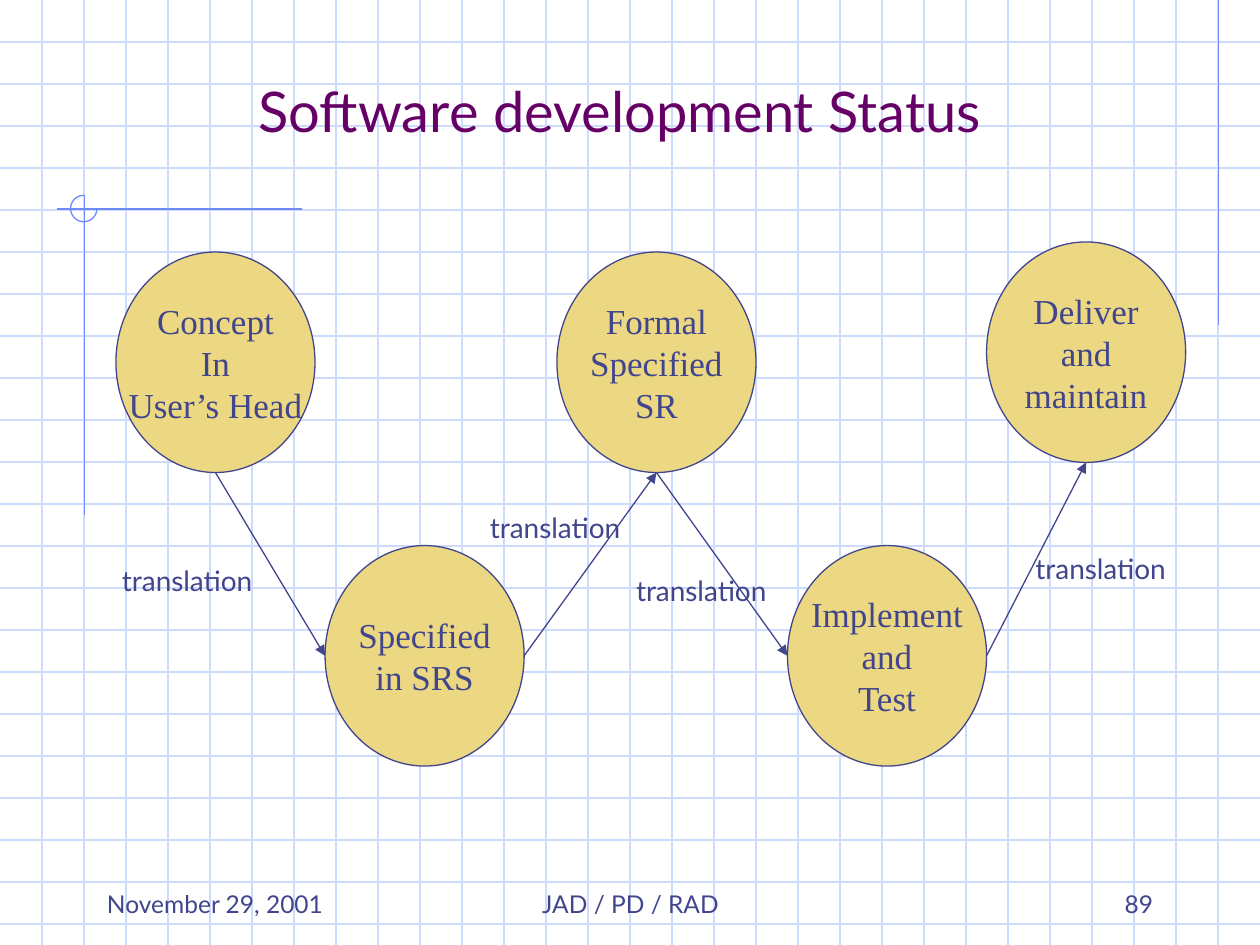
"""Build the software development status slide."""
from lxml.etree import SubElement
from pptx import Presentation
from pptx.dml.color import RGBColor
from pptx.enum.shapes import MSO_CONNECTOR, MSO_SHAPE
from pptx.enum.text import MSO_ANCHOR as Anchor, MSO_AUTO_SIZE as AutoSize, PP_ALIGN as Align
from pptx.oxml.ns import qn
from pptx.util import Inches, Pt

COLORS = {"grid": "CFDBFD", "accent": "6F89F7", "ink": "40458C",
          "title": "660066", "circle": "ECD882"}
WIDTH, HEIGHT, STEP = 10, 7.5, 1 / 3
CIRCLE_WIDTH, CIRCLE_HEIGHT = 1.58, 1.75

presentation = Presentation()
presentation.slide_width = Inches(WIDTH)
presentation.slide_height = Inches(HEIGHT)
slide = presentation.slides.add_slide(presentation.slide_layouts[6])
shapes = slide.shapes


def add_line(start, end, color, arrow=False):
    points = [Inches(value) for value in (*start, *end)]
    connector = shapes.add_connector(MSO_CONNECTOR.STRAIGHT, *points)
    connector.line.color.rgb = RGBColor.from_string(COLORS[color])
    connector.line.width = Pt(0.75)
    properties = connector._element.spPr
    if arrow:
        SubElement(properties.find(qn("a:ln")), qn("a:tailEnd"), type="triangle")
    SubElement(properties, qn("a:effectLst"))


def write_text(shape, lines, frame_format, font_format, align, color="ink"):
    frame = shape.text_frame
    for name, value in frame_format.items():
        setattr(frame, name, value)
    frame.text = "\n".join(lines)
    for paragraph in frame.paragraphs:
        paragraph.alignment = align
        for name, value in font_format.items():
            setattr(paragraph.font, name, value)
        paragraph.font.color.rgb = RGBColor.from_string(COLORS[color])


for row in range(1, 23):
    add_line((0, row * STEP), (WIDTH, row * STEP), "grid")
for column in range(1, 30):
    add_line((column * STEP, 0), (column * STEP, HEIGHT), "grid")

for start, end in [((9.67, 0), (9.67, 2.58)), ((2.4, 1.66), (0.45, 1.66)),
                   ((0.67, 1.55), (0.67, 4.09))]:
    add_line(start, end, "accent")
arc = shapes.add_shape(MSO_SHAPE.ARC, Inches(0.56), Inches(1.55), Inches(0.21), Inches(0.21))
arc.adjustments[0] = 0
arc.adjustments[1] = 162
arc.shadow.inherit = False
arc.fill.background()
arc.line.color.rgb = RGBColor.from_string(COLORS["accent"])
arc.line.width = Pt(0.75)

title = shapes.add_textbox(Inches(0.67), Inches(0.33), Inches(8.5), Inches(1.08))
write_text(title, ["Software development Status"],
           {"word_wrap": True, "vertical_anchor": Anchor.MIDDLE},
           {"name": "Lato", "size": Pt(32)}, Align.CENTER, "title")

stages = [
    (0.92, 2, ["Concept", "In", "User’s Head"]),
    (2.58, 4.33, ["Specified", "in SRS"]),
    (4.42, 2, ["Formal", "Specified", "SR"]),
    (6.25, 4.33, ["Implement", "and", "Test"]),
    (7.83, 1.92, ["Deliver", "and", "maintain"]),
]
for left, top, lines in stages:
    circle = shapes.add_shape(MSO_SHAPE.OVAL, Inches(left), Inches(top),
                              Inches(CIRCLE_WIDTH), Inches(CIRCLE_HEIGHT))
    circle.shadow.inherit = False
    circle.fill.solid()
    circle.fill.fore_color.rgb = RGBColor.from_string(COLORS["circle"])
    circle.line.color.rgb = RGBColor.from_string(COLORS["ink"])
    circle.line.width = Pt(0.75)
    write_text(circle, lines, {"word_wrap": False, "vertical_anchor": Anchor.MIDDLE},
               {"name": "Times New Roman", "size": Pt(20)}, Align.CENTER)

for index, (stage, following) in enumerate(zip(stages, stages[1:])):
    upper, lower = (stage, following) if index % 2 == 0 else (following, stage)
    bottom = (upper[0] + CIRCLE_WIDTH / 2, upper[1] + CIRCLE_HEIGHT)
    side_x = lower[0] if index % 2 == 0 else lower[0] + CIRCLE_WIDTH
    side = (side_x, lower[1] + CIRCLE_HEIGHT / 2)
    start, end = (bottom, side) if index % 2 == 0 else (side, bottom)
    add_line(start, end, "ink", arrow=True)

for left, top in [(0.87, 4.42), (3.79, 4), (4.95, 4.5), (8.12, 4.33)]:
    label = shapes.add_textbox(Inches(left), Inches(top), Inches(1.33), Inches(0.37))
    write_text(label, ["translation"],
               {"word_wrap": False, "auto_size": AutoSize.SHAPE_TO_FIT_TEXT},
               {"name": "Lato", "size": Pt(16)}, Align.LEFT)

for left, width, text, align in [(0.75, 2.08, "November 29, 2001", Align.LEFT),
                                 (3.42, 3.17, "JAD / PD / RAD", Align.CENTER),
                                 (7.17, 2.08, "89", Align.RIGHT)]:
    footer = shapes.add_textbox(Inches(left), Inches(6.92), Inches(width), Inches(0.42))
    write_text(footer, [text], {"word_wrap": True, "vertical_anchor": Anchor.BOTTOM},
               {"name": "Lato", "size": Pt(14)}, align)

presentation.save("out.pptx")
